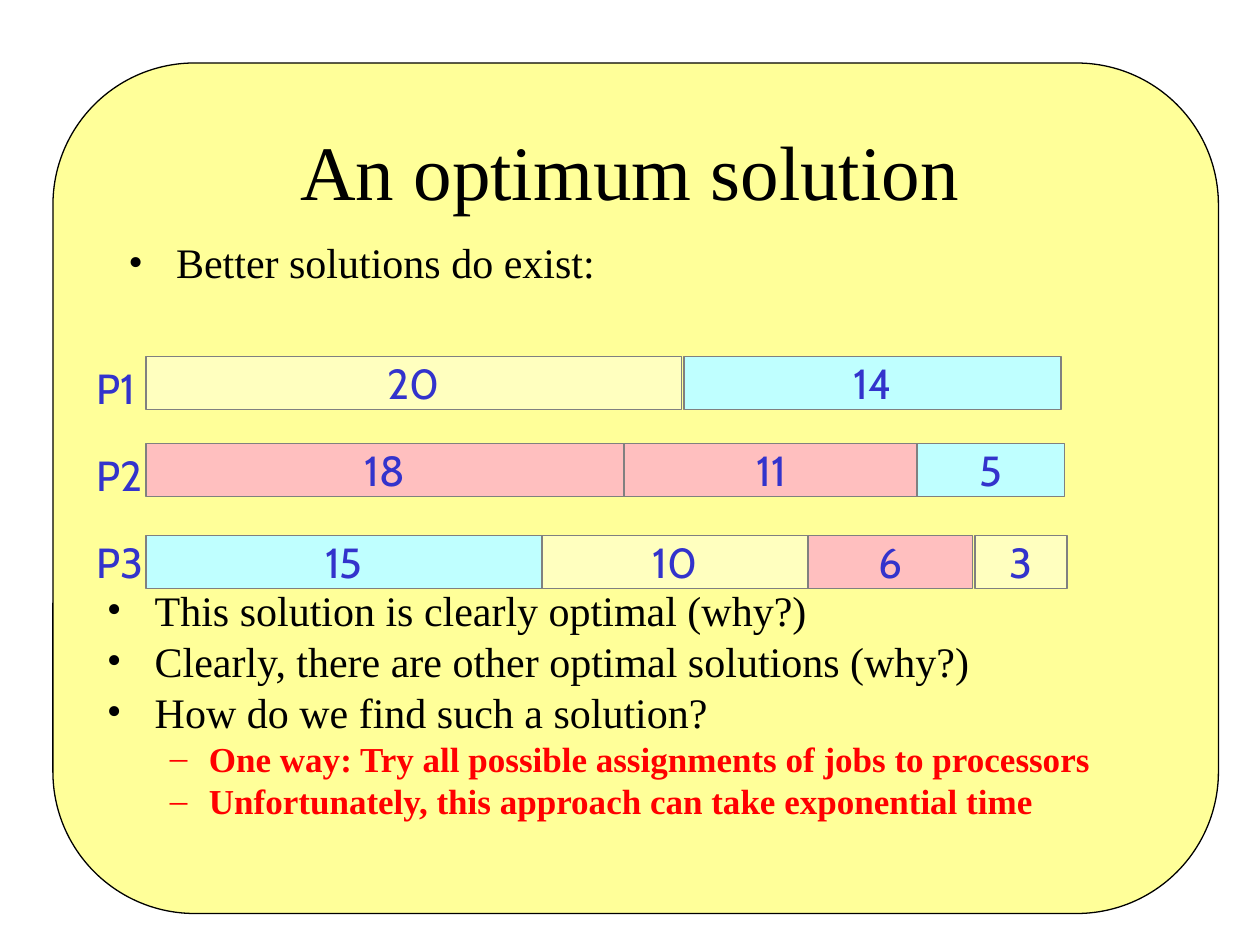
import dataclasses

import lxml.etree
import pptx
import pptx.dml.color
import pptx.enum.shapes
import pptx.enum.text
import pptx.oxml.ns
import pptx.util

Inches = pptx.util.Inches
Pt = pptx.util.Pt
MSO_SHAPE = pptx.enum.shapes.MSO_SHAPE
PP_ALIGN = pptx.enum.text.PP_ALIGN
MSO_ANCHOR = pptx.enum.text.MSO_ANCHOR
MSO_AUTO_SIZE = pptx.enum.text.MSO_AUTO_SIZE


@dataclasses.dataclass(frozen=True)
class Theme:
    text_font: str = "Times New Roman"
    chart_font: str = "Cabin"
    title_size: int = 44
    body_size: int = 24
    sub_size: int = 20
    text: str = "000000"
    alert: str = "FF0000"
    job_text: str = "3333CC"
    panel: str = "FFFF99"
    job_line: str = "808080"
    yellow: str = "FFFFBF"
    pink: str = "FFBFBF"
    cyan: str = "BFFFFF"


class SlideBuilder:
    def __init__(self, slide, theme):
        self.slide = slide
        self.theme = theme

    def format_runs(self, paragraph, font, size, color, bold=False):
        for run in paragraph.runs:
            run.font.name = font
            run.font.size = Pt(size)
            run.font.bold = bold
            run.font.color.rgb = pptx.dml.color.RGBColor.from_string(color)

    def box(self, preset, left, top, width, height, fill, line, line_width):
        shape = self.slide.shapes.add_shape(
            preset, Inches(left), Inches(top), Inches(width), Inches(height))
        shape.shadow.inherit = False
        shape.fill.solid()
        shape.fill.fore_color.rgb = pptx.dml.color.RGBColor.from_string(fill)
        shape.line.color.rgb = pptx.dml.color.RGBColor.from_string(line)
        shape.line.width = Pt(line_width)
        return shape

    def panel(self, left, top, width, height):
        panel = self.box(MSO_SHAPE.ROUNDED_RECTANGLE, left, top, width, height,
                         self.theme.panel, self.theme.text, 0.75)
        self.slide.shapes.title.element.addprevious(panel.element)

    def title(self, text, left, top, width, height):
        title = self.slide.shapes.title
        title.left, title.top = Inches(left), Inches(top)
        title.width, title.height = Inches(width), Inches(height)
        frame = title.text_frame
        frame.text = text
        frame.auto_size = MSO_AUTO_SIZE.NONE
        frame.vertical_anchor = MSO_ANCHOR.MIDDLE
        frame.paragraphs[0].alignment = PP_ALIGN.CENTER
        self.format_runs(frame.paragraphs[0], self.theme.text_font,
                         self.theme.title_size, self.theme.text)

    def text_box(self, lines, left, top, width, height):
        box = self.slide.shapes.add_textbox(
            Inches(left), Inches(top), Inches(width), Inches(height))
        frame = box.text_frame
        frame.word_wrap = True
        frame.text = "\n".join(lines)
        return frame.paragraphs

    def bullet(self, paragraph, mark, margin, indent):
        properties = paragraph._p.get_or_add_pPr()
        properties.set("marL", str(Inches(margin)))
        properties.set("indent", str(Inches(-indent)))
        for tag, key, value in (("a:buFont", "typeface", self.theme.text_font),
                                ("a:buChar", "char", mark)):
            element = lxml.etree.SubElement(properties, pptx.oxml.ns.qn(tag))
            element.set(key, value)

    def bullets(self, items, left, top, width, height, line_spacing=1.0):
        theme = self.theme
        paragraphs = self.text_box([text for _, text in items],
                                   left, top, width, height)
        for index, (paragraph, (level, _)) in enumerate(zip(paragraphs, items)):
            paragraph.level = level
            paragraph.line_spacing = line_spacing
            if level:
                self.bullet(paragraph, "–", 0.81, 0.31)
                self.format_runs(paragraph, theme.text_font, theme.sub_size,
                                 theme.alert, True)
            else:
                self.bullet(paragraph, "•", 0.38, 0.38)
                self.format_runs(paragraph, theme.text_font, theme.body_size,
                                 theme.text)
            if index:
                paragraph.space_before = Pt(5 if level else 6)

    def job(self, duration, left, top, width, height, fill):
        bar = self.box(MSO_SHAPE.RECTANGLE, left, top, width, height,
                       fill, self.theme.job_line, 1)
        frame = bar.text_frame
        frame.word_wrap = False
        frame.vertical_anchor = MSO_ANCHOR.MIDDLE
        frame.text = str(duration)
        frame.paragraphs[0].alignment = PP_ALIGN.CENTER
        self.format_runs(frame.paragraphs[0], self.theme.chart_font,
                         self.theme.body_size, self.theme.job_text)

    def processor_labels(self, names, left, top, width, height):
        for index, paragraph in enumerate(
                self.text_box(names, left, top, width, height)):
            paragraph.line_spacing = 1.2
            if index:
                paragraph.space_before = Pt(15)
            self.format_runs(paragraph, self.theme.chart_font,
                             self.theme.body_size, self.theme.job_text)


def main():
    theme = Theme()
    presentation = pptx.Presentation()
    presentation.slide_width = Inches(10)
    presentation.slide_height = Inches(7.5)
    slide = presentation.slides.add_slide(presentation.slide_layouts[5])
    builder = SlideBuilder(slide, theme)

    builder.panel(0.42, 0.5, 9.25, 6.75)
    builder.title("An optimum solution", 0.75, 0.78, 8.5, 1.14)
    builder.bullets([
        (0, "This solution is clearly optimal (why?)"),
        (0, "Clearly, there are other optimal solutions (why?)"),
        (0, "How do we find such a solution?"),
        (1, "One way: Try all possible assignments of jobs to processors"),
        (1, "Unfortunately, this approach can take exponential time"),
    ], 0.75, 4.67, 8.5, 2, 0.8)
    builder.bullets([(0, "Better solutions do exist:")], 0.92, 1.83, 8.5, 0.5)

    schedule = {
        "P1": (2.83, [(20, 1.16, 4.25, theme.yellow),
                      (14, 5.43, 2.99, theme.cyan)]),
        "P2": (3.52, [(18, 1.16, 3.79, theme.pink),
                      (11, 4.95, 2.34, theme.pink),
                      (5, 7.28, 1.17, theme.cyan)]),
        "P3": (4.25, [(15, 1.16, 3.14, theme.cyan),
                      (10, 4.3, 2.12, theme.yellow),
                      (6, 6.41, 1.31, theme.pink),
                      (3, 7.74, 0.73, theme.yellow)]),
    }
    for top, jobs in schedule.values():
        for duration, left, width, fill in jobs:
            builder.job(duration, left, top, width, 0.42, fill)
    builder.processor_labels(list(schedule), 0.67, 2.75, 0.66, 1.95)

    presentation.save("out.pptx")


if __name__ == "__main__":
    main()
